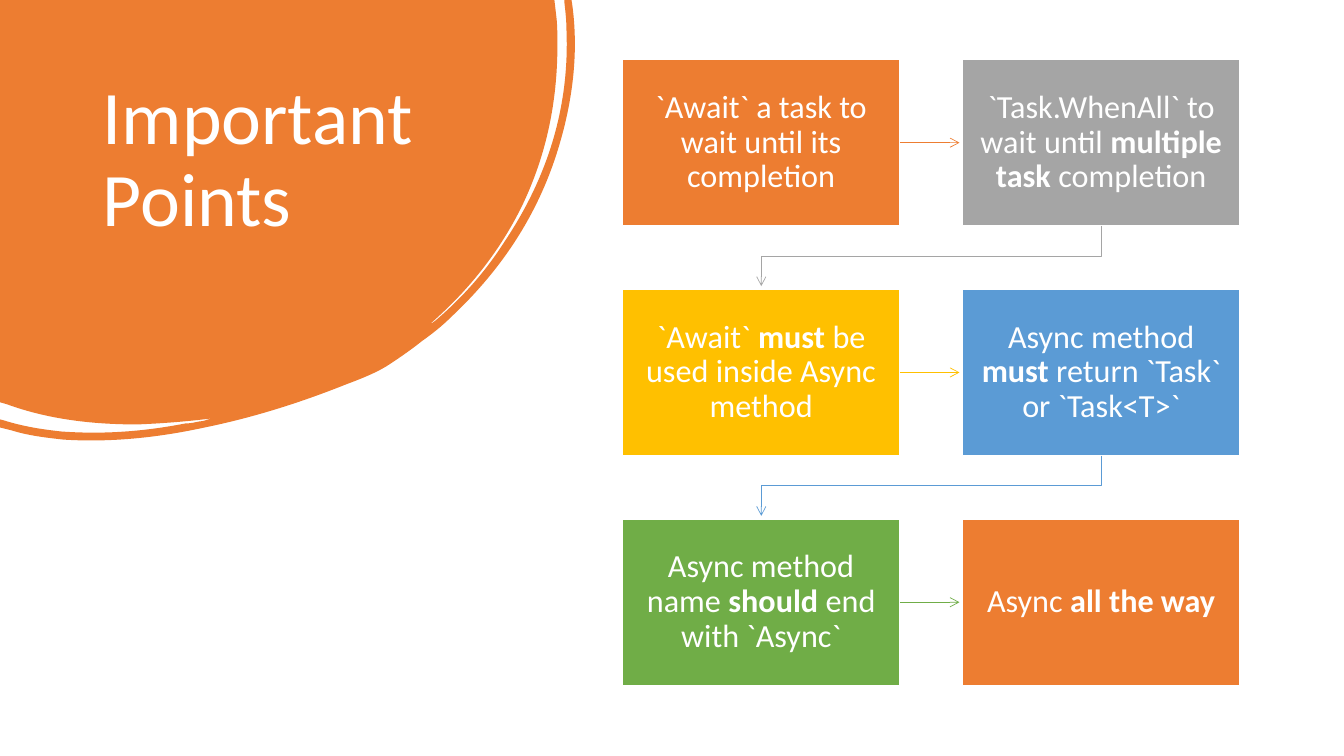
from lxml import etree
from pptx import Presentation
from pptx.dml.color import RGBColor
from pptx.enum.shapes import MSO_CONNECTOR, MSO_SHAPE
from pptx.enum.text import MSO_ANCHOR, MSO_AUTO_SIZE, PP_ALIGN
from pptx.oxml.ns import qn
from pptx.util import Cm, Pt

RECTANGLE = MSO_SHAPE.RECTANGLE
STRAIGHT, ELBOW = MSO_CONNECTOR.STRAIGHT, MSO_CONNECTOR.ELBOW
LEFT, CENTER = PP_ALIGN.LEFT, PP_ALIGN.CENTER
TOP, MIDDLE = MSO_ANCHOR.TOP, MSO_ANCHOR.MIDDLE
NO_AUTOFIT = MSO_AUTO_SIZE.NONE

SIDE_RIGHT = 3
QUARTER_TURN = "5400000"
TIP_GAP = Cm(0.08)

COLORS = {
    "orange": "ED7D31",
    "gray": "A5A5A5",
    "gold": "FFC000",
    "blue": "5B9BD5",
    "green": "70AD47",
    "white": "FFFFFF",
}

POINTS = [
    ("orange", "`Await` a task to wait until its completion"),
    ("gray", "`Task.WhenAll` to wait until **multiple task** completion"),
    ("gold", "`Await` **must** be used inside Async method"),
    ("blue", "Async method **must** return `Task` or `Task<T>`"),
    ("green", "Async method name **should** end with `Async`"),
    ("orange", "Async **all the way**"),
]

BLOB_WIDTH = 568
BLOB_OUTLINE = [
    (0, 0), (550, 0), (552, 17),
    (553, 26, 553, 36, 553, 45), (553, 101, 542, 154, 518, 204),
    (496, 249, 465, 288, 427, 321), (429, 321, 430, 319, 432, 318),
    (459, 295, 482, 269, 501, 239), (543, 176, 565, 107, 562, 30),
    (562, 21, 561, 12, 560, 3), (560, 0), (567, 0), (568, 7),
    (574, 54, 568, 102, 553, 150), (533, 214, 497, 268, 448, 314),
    (439, 323, 429, 331, 419, 338), (409, 346, 399, 353, 387, 361),
    (375, 369, 360, 375, 344, 381), (299, 399, 252, 414, 203, 424),
    (157, 434, 110, 439, 63, 436), (45, 434, 28, 432, 12, 427),
    (0, 424), (0, 416), (4, 417),
    (23, 423, 42, 426, 61, 428), (103, 431, 143, 428, 184, 420),
    (189, 420, 193, 419, 198, 418), (202, 418, 206, 416, 210, 415),
    (186, 418, 161, 420, 136, 421), (92, 421, 48, 416, 7, 401),
    (0, 399),
]

TITLE_FRAME = {
    "auto_size": NO_AUTOFIT, "word_wrap": True, "vertical_anchor": TOP,
    "margin_left": Cm(0.25), "margin_right": Cm(0.25),
    "margin_top": Cm(0.13), "margin_bottom": Cm(0.13),
}
POINT_FRAME = {
    "word_wrap": True, "vertical_anchor": MIDDLE,
    "margin_left": Cm(0.33), "margin_right": Cm(0.33),
    "margin_top": Cm(0.36), "margin_bottom": Cm(0.36),
}
TITLE_FONT = {"name": "Calibri", "size": Pt(54), "bold": False}
POINT_FONT = {"name": "Calibri", "size": Pt(23)}


def rgb(color):
    return RGBColor.from_string(COLORS[color])


def apply_format(target, values):
    for name, value in values.items():
        setattr(target, name, value)


def write_text(frame, text, frame_format, font_format, alignment):
    apply_format(frame, frame_format)
    paragraph = frame.paragraphs[0]
    apply_format(paragraph, {"alignment": alignment, "line_spacing": 0.9})
    for index, part in enumerate(text.split("**")):
        if part:
            run = paragraph.add_run()
            run.text = part
            apply_format(run.font, {**font_format, "bold": index % 2 == 1})
            run.font.color.rgb = rgb("white")


def bend_edges(blob, unit):
    edges = list(blob.element.spPr.iter(qn("a:lnTo")))
    for edge, segment in zip(edges, BLOB_OUTLINE[1:]):
        if len(segment) == 6:
            curve = etree.Element(qn("a:cubicBezTo"))
            for x, y in zip(segment[::2], segment[1::2]):
                etree.SubElement(curve, qn("a:pt"),
                                 x=str(round(x * unit)), y=str(round(y * unit)))
            edge.getparent().replace(edge, curve)


def add_blob(slide, left, top, width):
    unit = width / BLOB_WIDTH
    corners = [(left + segment[-2] * unit, top + segment[-1] * unit)
               for segment in BLOB_OUTLINE]
    builder = slide.shapes.build_freeform(*corners[0])
    builder.add_line_segments(corners[1:], close=True)
    blob = builder.convert_to_shape()
    bend_edges(blob, unit)
    blob.shadow.inherit = False
    blob.fill.solid()
    blob.fill.fore_color.rgb = rgb("orange")
    blob.line.fill.background()


def add_title(slide, left, top, width, height):
    title = slide.shapes.title
    apply_format(title, {"left": left, "top": top, "width": width, "height": height})
    write_text(title.text_frame, "Important Points", TITLE_FRAME, TITLE_FONT, LEFT)


def add_point(slide, color, text, left, top, width, height):
    point = slide.shapes.add_shape(RECTANGLE, left, top, width, height)
    point.shadow.inherit = False
    point.fill.solid()
    point.fill.fore_color.rgb = rgb(color)
    point.line.color.rgb = rgb("white")
    point.line.width = Pt(1)
    write_text(point.text_frame, text, POINT_FRAME, POINT_FONT, CENTER)
    return point


def add_arrow(slide, kind, color, start_x, start_y, end_x, end_y):
    arrow = slide.shapes.add_connector(kind, start_x, start_y, end_x, end_y)
    arrow.line.color.rgb = rgb(color)
    arrow.line.width = Pt(0.5)
    properties = arrow.element.spPr
    etree.SubElement(properties.find(qn("a:ln")), qn("a:tailEnd"), type="arrow")
    etree.SubElement(properties, qn("a:effectLst"))
    return arrow


def add_arrow_across(slide, color, source, target):
    middle = source.top + source.height // 2
    arrow = add_arrow(slide, STRAIGHT, color, source.left + source.width, middle,
                      target.left - TIP_GAP, middle)
    arrow.begin_connect(source, SIDE_RIGHT)


def add_arrow_down(slide, color, source, target):
    start_x = source.left + source.width // 2
    end_x = target.left + target.width // 2
    start_y, end_y = source.top + source.height, target.top - TIP_GAP
    center_x, center_y = (start_x + end_x) // 2, (start_y + end_y) // 2
    half_across, half_down = (start_x - end_x) // 2, (end_y - start_y) // 2
    arrow = add_arrow(slide, ELBOW, color,
                      center_x - half_down, center_y - half_across,
                      center_x + half_down, center_y + half_across)
    arrow.element.spPr.find(qn("a:xfrm")).set("rot", QUARTER_TURN)


def add_process(slide, left, top, width, height):
    point_width, point_height = Cm(6.99), Cm(4.19)
    column_step = width - point_width
    row_step = (height - point_height) // 2
    points = []
    for index, (color, text) in enumerate(POINTS):
        row, column = divmod(index, 2)
        points.append(add_point(
            slide, color, text, left + column * column_step, top + row * row_step,
            point_width, point_height,
        ))
    for index, (source, target) in enumerate(zip(points, points[1:])):
        add_step = add_arrow_down if index % 2 else add_arrow_across
        add_step(slide, POINTS[index][0], source, target)


def main():
    deck = Presentation()
    deck.slide_width, deck.slide_height = Cm(33.87), Cm(19.05)
    slide = deck.slides.add_slide(deck.slide_layouts[5])
    add_blob(slide, 0, 0, Cm(14.43))
    title = slide.shapes.title.element
    title.getparent().append(title)
    add_title(slide, Cm(2.34), Cm(1.87), Cm(8.94), Cm(5.64))
    add_process(slide, Cm(15.69), Cm(1.5), Cm(15.56), Cm(15.77))
    deck.save("out.pptx")


if __name__ == "__main__":
    main()
